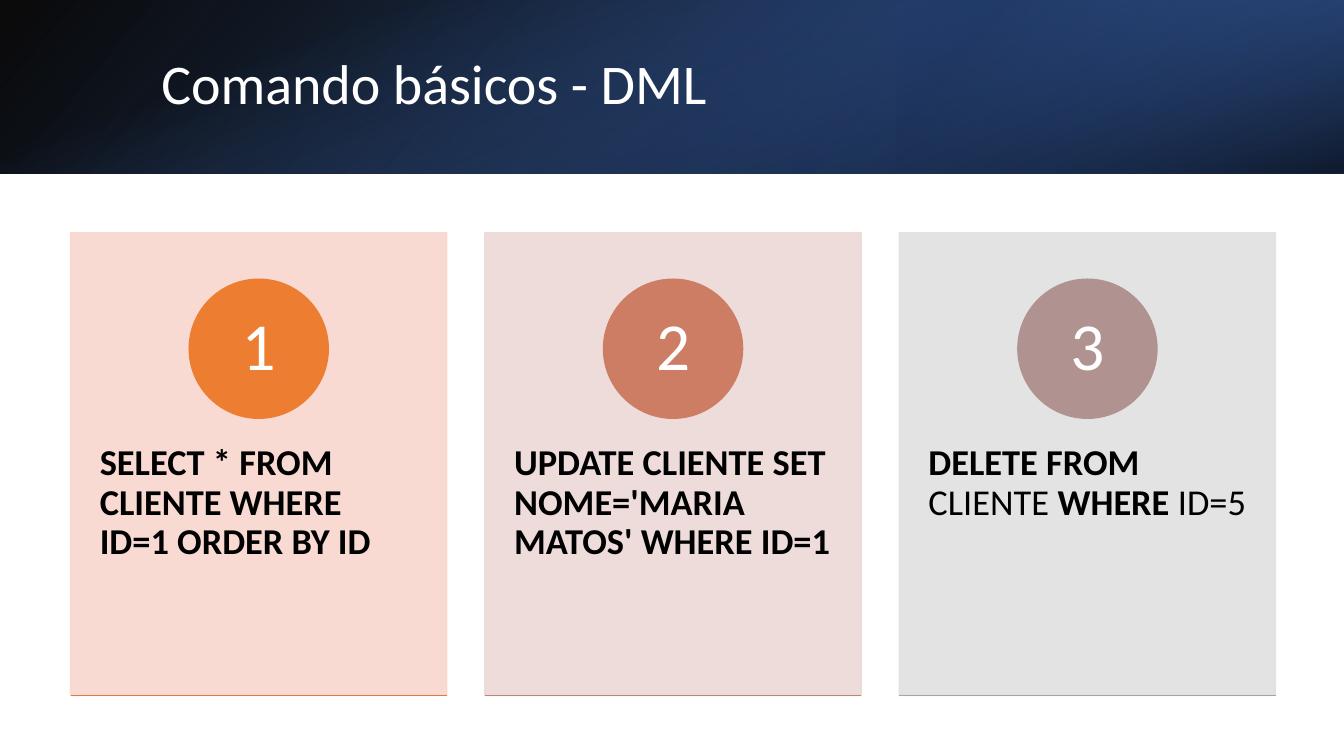
from lxml.etree import SubElement
from pptx import Presentation
from pptx.dml.color import RGBColor
from pptx.enum.shapes import MSO_CONNECTOR, MSO_SHAPE
from pptx.enum.text import MSO_ANCHOR, MSO_AUTO_SIZE, PP_ALIGN
from pptx.oxml.ns import qn
from pptx.util import Inches, Pt

RECT, OVAL = MSO_SHAPE.RECTANGLE, MSO_SHAPE.OVAL
LINE = MSO_CONNECTOR.STRAIGHT
TOP, MIDDLE = MSO_ANCHOR.TOP, MSO_ANCHOR.MIDDLE
LEFT, CENTER = PP_ALIGN.LEFT, PP_ALIGN.CENTER
FIXED = MSO_AUTO_SIZE.NONE

BLACK = RGBColor(0x00, 0x00, 0x00)
WHITE = RGBColor(0xFF, 0xFF, 0xFF)
NAVY = RGBColor(0x20, 0x38, 0x64)
DEEP = RGBColor(0x2F, 0x55, 0x97)
BLUE = RGBColor(0x44, 0x72, 0xC4)
ROSE = RGBColor(0xF8, 0xD7, 0xCE)
BLUSH = RGBColor(0xED, 0xD9, 0xD7)
SILVER = RGBColor(0xE1, 0xE1, 0xE1)
ORANGE = RGBColor(0xED, 0x7D, 0x31)
CORAL = RGBColor(0xCC, 0x7D, 0x64)
MAUVE = RGBColor(0xB0, 0x93, 0x91)
RUST = RGBColor(0xDC, 0x7A, 0x4B)
CLAY = RGBColor(0xBD, 0x86, 0x7B)
GREY = RGBColor(0xA5, 0xA5, 0xA5)

# Shares of the slide, in percent
HEAD = 22.93
EDGE, PITCH, WIDE = 5.25, 30.83, 28
CARD_TOP, CARD_TALL = 30.8, 61.2
DISC_TOP, DISC_WIDE, DISC_TALL = 36.93, 10.35, 18.4
TEXT_TOP, TEXT_TALL = 54, 36.67

# Card fill, disc fill, base line, (text, bold) runs
CARDS = [
    (ROSE, ORANGE, RUST,
     [("SELECT * FROM CLIENTE WHERE ID=1 ORDER BY ID", True)]),
    (BLUSH, CORAL, CLAY,
     [("UPDATE CLIENTE SET NOME='MARIA MATOS' WHERE ID=1", True)]),
    (SILVER, MAUVE, GREY,
     [("DELETE FROM", True), (" CLIENTE ", False),
      ("WHERE", True), (" ID=5", False)]),
]


class Deck:
    font = "Calibri"

    def __init__(self):
        self.prs = Presentation()
        self.prs.slide_width = Inches(13.333)
        self.prs.slide_height = Inches(7.5)
        self.slide = self.prs.slides.add_slide(self.prs.slide_layouts[5])
        self.shapes = self.slide.shapes

    def box(self, x, y, w, h):
        """Turn percent shares of the slide into lengths."""
        wide, tall = self.prs.slide_width, self.prs.slide_height
        return [int(share * full / 100)
                for share, full in ((x, wide), (y, tall), (w, wide), (h, tall))]

    def fade(self, shape, *alphas):
        """Give the colours of a shape, in order, their opacity in percent."""
        tints = shape._element.spPr.iter(qn("a:srgbClr"))
        for tint, alpha in zip(list(tints), alphas):
            SubElement(tint, qn("a:alpha")).set("val", str(alpha * 1000))

    def band(self, x, w, stops, angle, turn=0, flip=False):
        """Draw a header layer; stops are (percent, colour, opacity)."""
        left, top, wide, tall = self.box(x, 0, w, HEAD)
        if turn == 90:
            shift = (wide - tall) // 2
            left, top, wide, tall = left + shift, top - shift, tall, wide
        shape = self.shapes.add_shape(RECT, left, top, wide, tall)
        shape.shadow.inherit = False
        shape.rotation = turn
        if flip:
            shape._element.spPr.xfrm.set("flipH", "1")
        shape.line.fill.background()
        shape.fill.gradient()
        shape.fill.gradient_angle = 360 - angle
        for stop, (place, tint, _) in zip(shape.fill.gradient_stops, stops):
            stop.position = place / 100
            stop.color.rgb = tint
        self.fade(shape, *(alpha for _, _, alpha in stops))

    def panel(self, kind, area, tint):
        shape = self.shapes.add_shape(kind, *self.box(*area))
        shape.shadow.inherit = False
        shape.fill.solid()
        shape.fill.fore_color.rgb = tint
        shape.line.color.rgb = tint
        shape.line.width = Pt(1)
        return shape

    def label(self, shape, runs, size, tint, align=LEFT, anchor=MIDDLE,
              pad=(0.1, 0.05)):
        """Fill a shape with one paragraph of (text, bold) runs."""
        frame = shape.text_frame
        frame.word_wrap = True
        frame.auto_size = FIXED
        frame.vertical_anchor = anchor
        frame.margin_left = frame.margin_right = Inches(pad[0])
        frame.margin_top = frame.margin_bottom = Inches(pad[1])
        para = frame.paragraphs[0]
        para.alignment = align
        para.line_spacing = 0.9
        for text, bold in runs:
            run = para.add_run()
            run.text = text
            run.font.name = self.font
            run.font.size = Pt(size)
            run.font.bold = bold
            run.font.color.rgb = tint

    def title(self, text):
        shape = self.shapes.title
        shape.left, shape.top, shape.width, shape.height = self.box(
            11.25, 5.07, 82.37, 12.8)
        self.label(shape, [(text, False)], 40, WHITE)
        self.shapes._spTree.append(shape._element)  # above the bands

    def rule(self, x, y, w, tint):
        left, top, wide, _ = self.box(x, y, w, 0)
        line = self.shapes.add_connector(LINE, left, top, left + wide, top)
        line.line.color.rgb = tint
        line.line.width = Pt(1)
        SubElement(line._element.spPr, qn("a:effectLst"))

    def card(self, index, pale, tint, base, runs):
        x = EDGE + index * PITCH
        back = self.panel(RECT, (x, CARD_TOP, WIDE, CARD_TALL), pale)
        self.fade(back, 90, 90)
        note = self.shapes.add_textbox(*self.box(x, TEXT_TOP, WIDE, TEXT_TALL))
        self.label(note, runs, 26, BLACK, anchor=TOP, pad=(0.29, 0.36))
        mid = x + (WIDE - DISC_WIDE) / 2
        disc = self.panel(OVAL, (mid, DISC_TOP, DISC_WIDE, DISC_TALL), tint)
        self.label(disc, [(str(index + 1), False)], 48, WHITE, CENTER,
                   pad=(0.11, 0.01))
        self.rule(x, CARD_TOP + CARD_TALL, WIDE, base)


def main():
    deck = Deck()
    deck.band(0, 100, [(0, BLACK, 96), (100, DEEP, 100)], 140, flip=True)
    deck.band(66.67, 33.33, [(19, NAVY, 68), (100, BLUE, 79)], 320,
              turn=180, flip=True)
    deck.band(0, 100, [(23, BLUE, 0), (99, BLACK, 74)], 340, turn=90)
    deck.title("Comando básicos - DML")
    for index, card in enumerate(CARDS):
        deck.card(index, *card)
    deck.prs.save("out.pptx")


if __name__ == "__main__":
    main()
